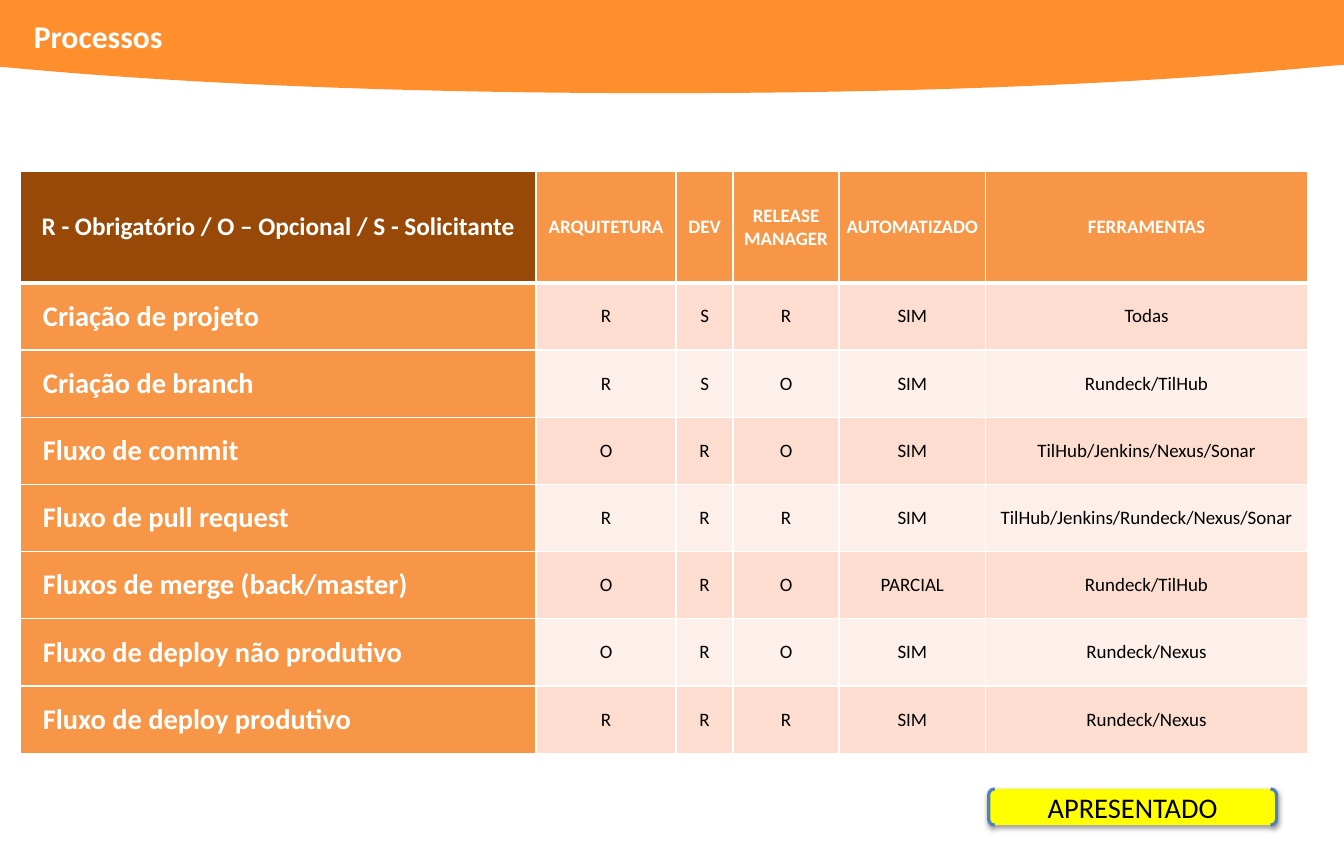
"""Build the Processos slide: a responsibility table under a curved banner."""
from dataclasses import dataclass

from lxml import etree
from pptx import Presentation
from pptx.dml.color import RGBColor
from pptx.enum.shapes import MSO_SHAPE
from pptx.enum.text import MSO_ANCHOR, MSO_AUTO_SIZE, PP_ALIGN
from pptx.oxml import parse_xml
from pptx.util import Pt


@dataclass(frozen=True)
class Theme:
    font: str = "Calibri"
    white: str = "FFFFFF"
    black: str = "000000"
    banner: str = "FF8E2D"
    legend: str = "984807"
    header: str = "F79646"
    bands: tuple = ("FCDDCF", "FDEFE9")
    badge: str = "FFFF00"
    badge_line: str = "4F81BD"
    title_size: int = 20
    label_size: int = 18
    legend_size: int = 16
    cell_size: int = 12


THEME = Theme()
NAMESPACE = "http://schemas.openxmlformats.org/drawingml/2006/main"


def write_text(frame, text, size, color, bold, alignment):
    frame.text = text
    for paragraph in frame.paragraphs:
        paragraph.alignment = alignment
        formats = {"name": THEME.font, "size": Pt(size), "bold": bold}
        for name, value in formats.items():
            setattr(paragraph.runs[0].font, name, value)
        paragraph.runs[0].font.color.rgb = RGBColor.from_string(color)


def fill_solid(target, color):
    target.fill.solid()
    target.fill.fore_color.rgb = RGBColor.from_string(color)


presentation = Presentation()
presentation.slide_width = Pt(850.5)
presentation.slide_height = Pt(540)
slide = presentation.slides.add_slide(presentation.slide_layouts[5])

title = slide.shapes.title
placement = {"left": Pt(14.2), "top": Pt(7.2), "width": Pt(325.4), "height": Pt(31.5)}
for name, value in placement.items():
    setattr(title, name, value)
title_format = {"word_wrap": True, "auto_size": MSO_AUTO_SIZE.NONE, "vertical_anchor": MSO_ANCHOR.TOP}
for name, value in title_format.items():
    setattr(title.text_frame, name, value)
write_text(title.text_frame, "Processos", THEME.title_size, THEME.white, True, PP_ALIGN.LEFT)

curves = [
    [(832.3, 42.5), (719.3, 53.3), (575.3, 59), (417.6, 59)],
    [(417.6, 59), (259.9, 59), (115.9, 53.3), (2.9, 42.5)],
]
outline = [(850.5, 0), (850.5, 41), curves[0][0]]
steps = 24
for curve in curves:
    for step in range(1, steps + 1):
        t = step / steps
        weights = ((1 - t) ** 3, 3 * t * (1 - t) ** 2, 3 * t**2 * (1 - t), t**3)
        outline.append(tuple(sum(w * point[axis] for w, point in zip(weights, curve)) for axis in (0, 1)))
outline.append((0, 42.5))
builder = slide.shapes.build_freeform(0, 0)
builder.add_line_segments([(Pt(x), Pt(y)) for x, y in outline], close=True)
banner = builder.convert_to_shape()
banner.shadow.inherit = False
fill_solid(banner, THEME.banner)
banner.line.fill.background()
title.element.addprevious(banner.element)

rows = [
    ("R - Obrigatório / O – Opcional / S - Solicitante", "ARQUITETURA", "DEV",
     "RELEASE\nMANAGER", "AUTOMATIZADO", "FERRAMENTAS"),
    ("Criação de projeto", "R", "S", "R", "SIM", "Todas"),
    ("Criação de branch", "R", "S", "O", "SIM", "Rundeck/TilHub"),
    ("Fluxo de commit", "O", "R", "O", "SIM", "TilHub/Jenkins/Nexus/Sonar"),
    ("Fluxo de pull request", "R", "R", "R", "SIM", "TilHub/Jenkins/Rundeck/Nexus/Sonar"),
    ("Fluxos de merge (back/master)", "O", "R", "O", "PARCIAL", "Rundeck/TilHub"),
    ("Fluxo de deploy não produtivo", "O", "R", "O", "SIM", "Rundeck/Nexus"),
    ("Fluxo de deploy produtivo", "R", "R", "R", "SIM", "Rundeck/Nexus"),
]
column_widths = [326.2, 88.7, 36, 67.1, 92.8, 203.6]
row_heights = [70.5] + [42.55] * 7
table = slide.shapes.add_table(
    len(rows), len(column_widths), Pt(13), Pt(108.5), Pt(sum(column_widths)), Pt(sum(row_heights))
).table
for column, width in zip(table.columns, column_widths):
    column.width = Pt(width)
for row, height in zip(table.rows, row_heights):
    row.height = Pt(height)

for row_index, values in enumerate(rows):
    for column_index, text in enumerate(values):
        cell = table.cell(row_index, column_index)
        is_header, is_label = row_index == 0, column_index == 0
        color, bold, alignment = THEME.white, True, PP_ALIGN.CENTER
        size, fill, indent = THEME.cell_size, THEME.header, 3.6
        if is_header and is_label:
            size, fill = THEME.legend_size, THEME.legend
        elif is_label:
            size, alignment, indent = THEME.label_size, PP_ALIGN.LEFT, 14.2
        elif not is_header:
            color, bold, fill = THEME.black, False, THEME.bands[(row_index - 1) % 2]
        cell_format = {
            "vertical_anchor": MSO_ANCHOR.MIDDLE, "margin_left": Pt(indent),
            "margin_right": Pt(3.6), "margin_top": Pt(3.6), "margin_bottom": Pt(3.6),
        }
        for name, value in cell_format.items():
            setattr(cell, name, value)
        write_text(cell.text_frame, text, size, color, bold, alignment)
        properties = cell._tc.get_or_add_tcPr()
        for side in "LRTB":
            is_thick = (row_index, side) in ((0, "B"), (1, "T"))
            border = etree.SubElement(properties, f"{{{NAMESPACE}}}ln{side}", w=str(Pt(3 if is_thick else 1)))
            border_fill = etree.SubElement(border, f"{{{NAMESPACE}}}solidFill")
            etree.SubElement(border_fill, f"{{{NAMESPACE}}}srgbClr", val=THEME.white)
        fill_solid(cell, fill)

badge = slide.shapes.add_shape(MSO_SHAPE.DOUBLE_BRACKET, Pt(625.7), Pt(499.4), Pt(182.2), Pt(23))
fill_solid(badge, THEME.badge)
badge.line.color.rgb = RGBColor.from_string(THEME.badge_line)
badge.line.width = Pt(2)
badge.text_frame.vertical_anchor = MSO_ANCHOR.MIDDLE
write_text(badge.text_frame, "APRESENTADO", THEME.label_size, THEME.black, False, PP_ALIGN.CENTER)
badge.element.spPr.append(parse_xml(
    f'<a:effectLst xmlns:a="{NAMESPACE}">'
    f'<a:outerShdw blurRad="{Pt(3.1)}" dist="{Pt(1.6)}" dir="5400000" rotWithShape="0">'
    f'<a:srgbClr val="{THEME.black}"><a:alpha val="38000"/></a:srgbClr></a:outerShdw></a:effectLst>'
))

presentation.save("out.pptx")
